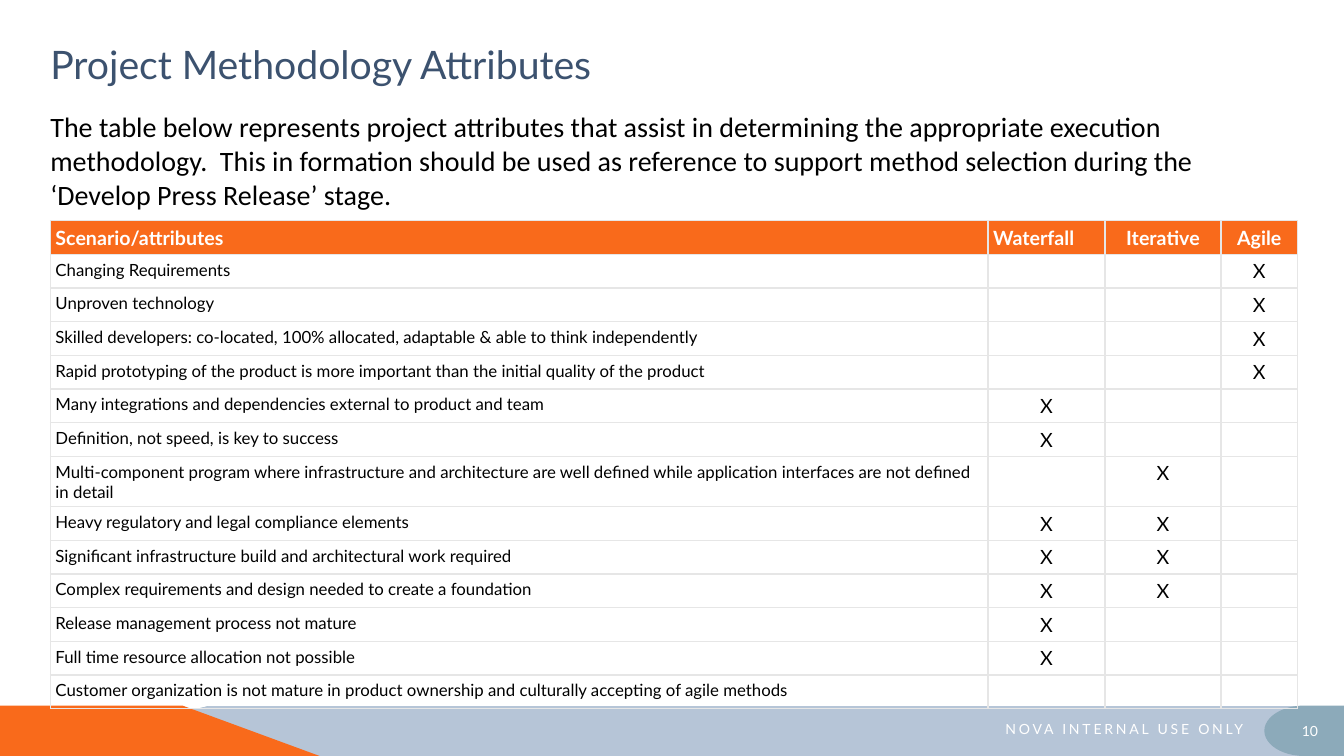
from lxml import etree
from pptx import Presentation
from pptx.dml.color import RGBColor
from pptx.enum.dml import MSO_PATTERN
from pptx.enum.shapes import MSO_SHAPE
from pptx.enum.text import MSO_ANCHOR, PP_ALIGN
from pptx.oxml.ns import qn
from pptx.util import Inches, Pt

HEX = {"orange": "F96A1B", "mist": "B6C5D7", "teal": "8CAABA", "navy": "3C526F",
       "black": "000000", "white": "FFFFFF", "grid": "E6E6E6"}
COLORS = {name: RGBColor.from_string(value) for name, value in HEX.items()}

prs = Presentation()
prs.slide_width, prs.slide_height = Inches(13.33), Inches(7.5)
slide = prs.slides.add_slide(prs.slide_layouts[6])
shapes = slide.shapes


def write(frame, text, size, color, font="Lato", align=PP_ALIGN.LEFT,
          anchor=MSO_ANCHOR.TOP, margin=0, bold=False):
    """Fill a text frame or table cell with one styled paragraph; return its run."""
    frame.margin_left = frame.margin_right = Inches(margin)
    frame.margin_top = frame.margin_bottom = Inches(margin)
    frame.vertical_anchor = anchor
    paragraph = getattr(frame, "text_frame", frame).paragraphs[0]
    paragraph.alignment = align
    if not text:
        etree.SubElement(paragraph._p, qn("a:endParaRPr"), sz=str(size * 100))
        return None
    run = paragraph.add_run()
    run.text = text
    run.font.size, run.font.name, run.font.bold = Pt(size), font, bold
    run.font.color.rgb = COLORS[color]
    return run


def add_text(left, top, width, height, *args, **kwargs):
    """Add a wrapping text box and write into it; return its run."""
    box = shapes.add_textbox(Inches(left), Inches(top), Inches(width), Inches(height))
    box.text_frame.word_wrap = True
    return write(box.text_frame, *args, **kwargs)


# Footer band, wedge and page number tab
footer_outlines = [
    ("mist", [(0, 7.5), (2.09, 7), (13.33, 7), (13.33, 7.5)]),
    ("orange", [(0, 7.5), (0, 7), (1.81, 7), (3.17, 7.5)]),
]
for color, points in footer_outlines:
    corners = [(Inches(x), Inches(y)) for x, y in points]
    builder = shapes.build_freeform(*corners[0])
    builder.add_line_segments(corners[1:], close=True)
    piece = builder.convert_to_shape()
    piece.shadow.inherit = False
    piece.line.fill.background()
    if color == "mist":
        piece.fill.patterned()
        piece.fill.pattern = MSO_PATTERN.DARK_HORIZONTAL
        piece.fill.fore_color.rgb = COLORS["mist"]
        piece.fill.back_color.rgb = COLORS["teal"]
    else:
        piece.fill.solid()
        piece.fill.fore_color.rgb = COLORS[color]

page_tab = shapes.add_shape(MSO_SHAPE.FLOWCHART_DELAY, Inches(12.54), Inches(7),
                            Inches(0.79), Inches(0.5))
page_tab.shadow.inherit = False
page_tab.fill.solid()
page_tab.fill.fore_color.rgb = COLORS["teal"]
page_tab.line.fill.background()
page_tab._element.spPr.xfrm.set("flipH", "1")
write(page_tab.text_frame, "10", 10, "white", align=PP_ALIGN.CENTER,
      anchor=MSO_ANCHOR.MIDDLE)

# Title, introduction and footer label
add_text(0.5, 0.4, 12.37, 0.6, "Project Methodology Attributes", 28, "navy")
add_text(0.5, 1.09, 12.37, 1.41,
         "The table below represents project attributes that assist in determining the "
         "appropriate execution methodology.  This in formation should be used as reference "
         "to support method selection during the ‘Develop Press Release’ stage.",
         20, "black", font="Calibri")
label = add_text(5.44, 7.08, 6.89, 0.3, "NOVA INTERNAL USE ONLY", 10, "white",
                 align=PP_ALIGN.RIGHT, anchor=MSO_ANCHOR.MIDDLE)
label.font._element.set("spc", "200")

# Attribute table: each scenario lists the methods marked with an X
header = ["Scenario/attributes", "Waterfall", "Iterative", "Agile"]
scenarios = [
    ("Changing Requirements", ["Agile"]),
    ("Unproven technology", ["Agile"]),
    ("Skilled developers: co-located, 100% allocated, adaptable & able to think "
     "independently", ["Agile"]),
    ("Rapid prototyping of the product is more important than the initial quality of "
     "the product", ["Agile"]),
    ("Many integrations and dependencies external to product and team", ["Waterfall"]),
    ("Definition, not speed, is key to success", ["Waterfall"]),
    ("Multi-component program where infrastructure and architecture are well defined "
     "while application interfaces are not defined in detail", ["Iterative"]),
    ("Heavy regulatory and legal compliance elements", ["Waterfall", "Iterative"]),
    ("Significant infrastructure build and architectural work required",
     ["Waterfall", "Iterative"]),
    ("Complex requirements and design needed to create a foundation",
     ["Waterfall", "Iterative"]),
    ("Release management process not mature", ["Waterfall"]),
    ("Full time resource allocation not possible", ["Waterfall"]),
    ("Customer organization is not mature in product ownership and culturally accepting "
     "of agile methods", []),
]
rows = [header] + [[name] + ["X" if method in marked else "" for method in header[1:]]
                   for name, marked in scenarios]
table = shapes.add_table(len(rows), len(header), Inches(0.5), Inches(2.19),
                         Inches(12.37), Inches(4.83)).table
table.first_row = table.horz_banding = False
for column, width in zip(table.columns, [9.3, 1.16, 1.15, 0.76]):
    column.width = Inches(width)

for r, texts in enumerate(rows):
    table.rows[r].height = Inches(0.5 if texts[0].startswith("Multi") else 0.33)
    for c, text in enumerate(texts):
        cell = table.cell(r, c)
        is_header = r == 0
        left_aligned = c == 0 or text == "Waterfall"
        write(cell, text, 12 if c == 0 and not is_header else 14,
              "white" if is_header else "black", margin=0.05, bold=is_header,
              align=PP_ALIGN.LEFT if left_aligned else PP_ALIGN.CENTER,
              anchor=MSO_ANCHOR.BOTTOM if is_header else MSO_ANCHOR.TOP)
        if is_header:
            cell.fill.solid()
            cell.fill.fore_color.rgb = COLORS["orange"]
        else:
            cell.fill.background()
        properties = cell._tc.get_or_add_tcPr()
        for position, side in enumerate(["lnL", "lnR", "lnT", "lnB"]):
            border = etree.Element(qn("a:" + side), w=str(Pt(1)))
            fill = etree.SubElement(border, qn("a:solidFill"))
            etree.SubElement(fill, qn("a:srgbClr"), val=HEX["grid"])
            properties.insert(position, border)

prs.save("out.pptx")
